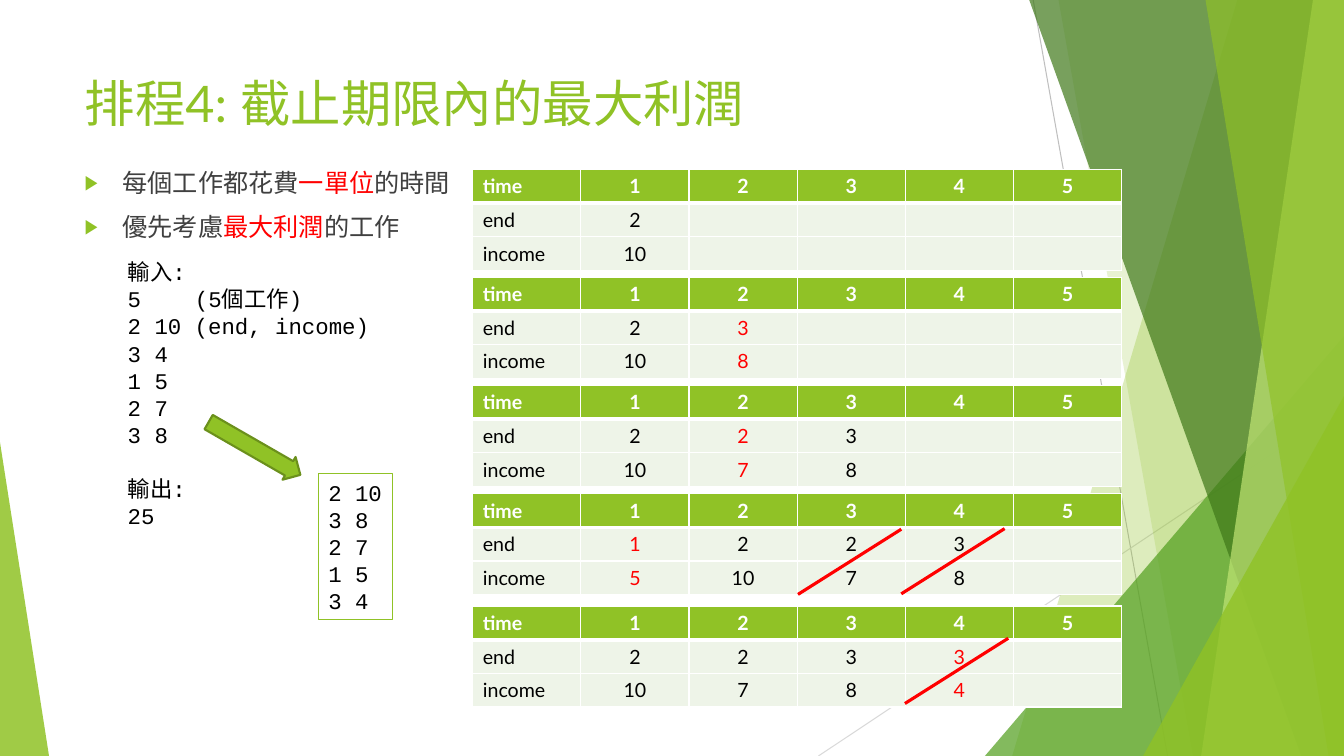
from dataclasses import dataclass

from lxml import etree
from pptx import Presentation
from pptx.dml.color import RGBColor
from pptx.enum.shapes import MSO_CONNECTOR, MSO_SHAPE
from pptx.enum.text import MSO_ANCHOR, MSO_AUTO_SIZE, PP_ALIGN
from pptx.oxml.ns import qn
from pptx.util import Pt

STRAIGHT = MSO_CONNECTOR.STRAIGHT
TRIANGLE = MSO_SHAPE.ISOSCELES_TRIANGLE
RIGHT_ARROW = MSO_SHAPE.RIGHT_ARROW
TOP = MSO_ANCHOR.TOP
FIXED, GROW = MSO_AUTO_SIZE.NONE, MSO_AUTO_SIZE.SHAPE_TO_FIT_TEXT
LEFT, CENTER = PP_ALIGN.LEFT, PP_ALIGN.CENTER
WIDTH, HEIGHT = 960, 540


@dataclass(frozen=True)
class Theme:
    green: str = "90C226"
    leaf: str = "54A021"
    forest: str = "3F7819"
    lime: str = "C0E474"
    arrow_edge: str = "6B901C"
    cell: str = "EEF4E8"
    red: str = "FF0000"
    black: str = "000000"
    white: str = "FFFFFF"
    body: str = "404040"
    gray: str = "BFBFBF"
    light_gray: str = "D9D9D9"
    text_font: str = "Lato"
    code_font: str = "Courier New"
    title_size: float = 36
    body_size: float = 18
    code_size: float = 16
    code_pitch: float = 19.4
    table_size: float = 14


def rgb(color):
    return RGBColor.from_string(color)


def add_xml(parent, tag, **attributes):
    return etree.SubElement(parent, qn(tag), attributes)


class SlideBuilder:
    def __init__(self, page, theme):
        self.page = page
        self.theme = theme
        self.backdrop = page.shapes.add_group_shape().shapes

    def style(self, font, size, color, name=None, bold=False):
        font.size, font.bold = Pt(size), bold
        font.name = name or self.theme.text_font
        font.color.rgb = rgb(color)

    def paint(self, shape, color, opacity=100):
        shape.shadow.inherit = False
        shape.fill.solid()
        shape.fill.fore_color.rgb = rgb(color)
        shape.line.fill.background()
        if opacity < 100:
            tint = shape.element.spPr.find(qn("a:solidFill"))[0]
            add_xml(tint, "a:alpha", val=str(opacity * 1000))

    def line(self, shapes, start, end, color, weight):
        connector = shapes.add_connector(STRAIGHT, *map(Pt, start + end))
        connector.line.color.rgb = rgb(color)
        connector.line.width = Pt(weight)
        add_xml(connector.element.spPr, "a:effectLst")

    def veil(self, top_x, bottom_x, color, opacity):
        builder = self.backdrop.build_freeform(Pt(top_x), Pt(-0.6))
        corners = [(WIDTH, -0.6), (WIDTH, HEIGHT), (bottom_x, HEIGHT)]
        builder.add_line_segments([(Pt(x), Pt(y)) for x, y in corners], close=True)
        self.paint(builder.convert_to_shape(), color, opacity)

    def triangle(self, left, top, width, apex, color, opacity):
        frame = map(Pt, (left, top, width, HEIGHT - top))
        shape = self.backdrop.add_shape(TRIANGLE, *frame)
        shape.adjustments[0] = apex
        self.paint(shape, color, opacity)

    def place(self, holder, left, top, width, height):
        holder.left, holder.top = Pt(left), Pt(top)
        holder.width, holder.height = Pt(width), Pt(height)
        holder.element.getparent().append(holder.element)
        frame = holder.text_frame
        frame.word_wrap, frame.auto_size = True, FIXED
        frame.vertical_anchor = TOP
        return frame

    def title(self, text, *box):
        frame = self.place(self.page.shapes.title, *box)
        frame.text = text
        para = frame.paragraphs[0]
        para.alignment = LEFT
        self.style(para.runs[0].font, self.theme.title_size, self.theme.green)

    def bullets(self, items, *box):
        theme = self.theme
        frame = self.place(self.page.placeholders[1], *box)
        for index, parts in enumerate(items):
            para = frame.add_paragraph() if index else frame.paragraphs[0]
            para.space_before = Pt(10 if index else 0)
            marks = para._p.get_or_add_pPr()
            marks.set("marL", str(Pt(27)))
            marks.set("indent", str(Pt(-27)))
            add_xml(add_xml(marks, "a:buClr"), "a:srgbClr", val=theme.green)
            add_xml(marks, "a:buSzPct", val="80000")
            add_xml(marks, "a:buChar", char="▶")
            for position, text in enumerate(parts):
                span = para.add_run()
                span.text = text
                color = theme.red if position == 1 else theme.body
                self.style(span.font, theme.body_size, color)

    def listing(self, blocks, *box, outline=None):
        theme = self.theme
        shape = self.page.shapes.add_textbox(*map(Pt, box))
        frame = shape.text_frame
        frame.word_wrap, frame.auto_size = False, GROW
        if outline:
            shape.line.color.rgb = rgb(outline)
            shape.line.width = Pt(0.75)
        frame.text = "\n".join("\n".join(block) for block in blocks)
        openings = [block[0] for block in blocks[1:]]
        for para in frame.paragraphs:
            para.line_spacing = Pt(theme.code_pitch)
            para.space_before = Pt(theme.code_pitch if para.text in openings else 0)
            if "\t" in para.text:
                tabs = add_xml(para._p.get_or_add_pPr(), "a:tabLst")
                add_xml(tabs, "a:tab", pos=str(Pt(48)), algn="l")
            for span in para.runs:
                self.style(span.font, theme.code_size, theme.black, theme.code_font)

    def cell(self, cell, text, header, centered, color):
        theme = self.theme
        properties = cell._tc.get_or_add_tcPr()
        for side in "LRTB":
            weight = 3 if header and side == "B" else 1
            border = add_xml(properties, f"a:ln{side}", w=str(Pt(weight)))
            add_xml(add_xml(border, "a:solidFill"), "a:srgbClr", val=theme.white)
        cell.fill.solid()
        cell.fill.fore_color.rgb = rgb(theme.green if header else theme.cell)
        cell.text = text
        para = cell.text_frame.paragraphs[0]
        para.alignment = CENTER if centered else LEFT
        for span in para.runs:
            self.style(span.font, theme.table_size, color, bold=header)
        if not text:
            add_xml(para._p, "a:endParaRPr", sz=str(int(theme.table_size * 100)))

    def schedule(self, top, ends, incomes, changed):
        theme = self.theme
        rows = [["time", *"12345"], ["end", *ends], ["income", *incomes]]
        frame = self.page.shapes.add_table(3, 6, *map(Pt, (337.7, top, 463.5, 72)))
        for r, values in enumerate(rows):
            for c, cell in enumerate(frame.table.rows[r].cells):
                text = values[c] if c < len(values) else ""
                color = theme.red if c == changed else theme.black
                self.cell(cell, text, r == 0, c > 0, color if r else theme.white)

    def arrow(self, left, top, width, height, angle):
        shape = self.page.shapes.add_shape(RIGHT_ARROW, *map(Pt, (left, top, width, height)))
        shape.adjustments[0], shape.adjustments[1] = 0.63, 0.5
        shape.rotation = angle
        self.paint(shape, self.theme.green)
        shape.line.color.rgb = rgb(self.theme.arrow_edge)
        shape.line.width = Pt(1.5)


def main():
    deck = Presentation()
    deck.slide_width, deck.slide_height = Pt(WIDTH), Pt(HEIGHT)
    theme = Theme()
    slide = SlideBuilder(deck.slides.add_slide(deck.slide_layouts[1]), theme)

    slide.line(slide.backdrop, (738, 0), (834, HEIGHT), theme.gray, 0.75)
    slide.line(slide.backdrop, (WIDTH, 290), (584.6, HEIGHT), theme.light_gray, 0.75)
    slide.veil(884, 723, theme.green, 30)
    slide.veil(756, 852, theme.green, 20)
    slide.triangle(703.5, 240, 256.5, 1, theme.leaf, 72)
    slide.veil(735, 929.5, theme.forest, 70)
    slide.veil(938, 858, theme.lime, 70)
    slide.veil(861, 949, theme.green, 65)
    slide.triangle(816.5, 283, 143.5, 1, theme.green, 80)
    slide.triangle(0, 316, 35, 0, theme.green, 85)

    slide.title("排程4: 截止期限內的最大利潤", 53.3, 48, 677, 104)
    slide.bullets([("每個工作都花費", "一單位", "的時間"),
                   ("優先考慮", "最大利潤", "的工作")], 53.3, 116, 677, 338)
    slide.listing([["輸入:", "5\t(5個工作)", "2 10 (end, income)", "3 4", "1 5", "2 7", "3 8"],
                   ["輸出:", "25"]], 84.2, 180.7, 189.4, 201)

    stages = [
        (121, ["2"], ["10"], None, []),
        (198, ["2", "3"], ["10", "8"], 2, []),
        (275.3, ["2", "2", "3"], ["10", "7", "8"], 2, []),
        (352.7, ["1", "2", "2", "3"], ["5", "10", "7", "8"], 1,
         [(570, 424.6), (643.8, 424.2)]),
        (432.9, ["2", "2", "3", "3"], ["10", "7", "8", "4"], 4, [(646.4, 502.5)]),
    ]
    for top, ends, incomes, changed, strikes in stages:
        slide.schedule(top, ends, incomes, changed)
        for x, y in strikes:
            slide.line(slide.page.shapes, (x, y), (x + 73.8, y - 46.6), theme.red, 2.25)

    slide.listing([["2 10", "3 8", "2 7", "1 5", "3 4"]],
                  227.4, 338.2, 53.2, 104.3, outline=theme.green)
    slide.arrow(144, 311, 75.6, 18.7, 29.9)
    deck.save("out.pptx")


if __name__ == "__main__":
    main()
